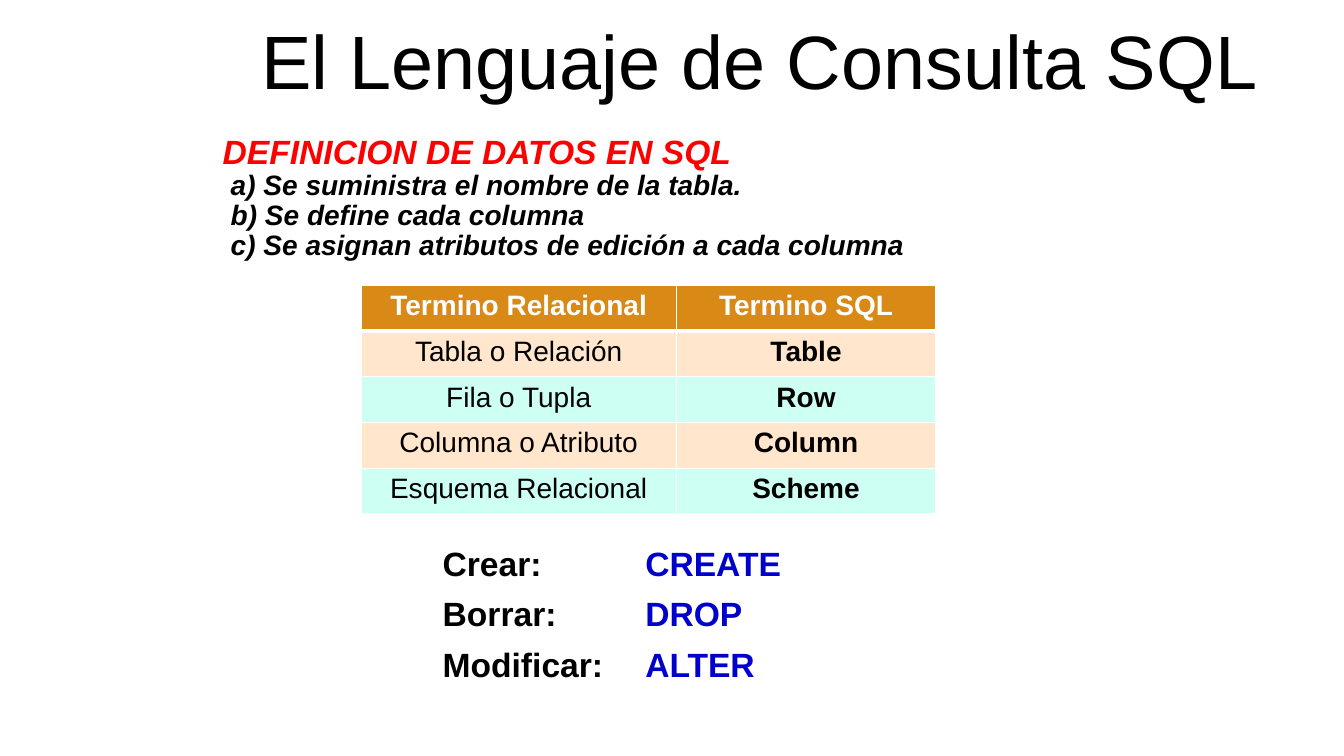
import pptx
import pptx.dml.color
import pptx.enum.text
import pptx.util
from lxml import etree
from pptx.oxml.ns import qn

Inches, Pt = pptx.util.Inches, pptx.util.Pt
RGBColor = pptx.dml.color.RGBColor
PP_ALIGN = pptx.enum.text.PP_ALIGN
MSO_ANCHOR = pptx.enum.text.MSO_ANCHOR

FONT = "Arial"
BLACK = RGBColor(0x00, 0x00, 0x00)
WHITE = RGBColor(0xFF, 0xFF, 0xFF)
RED = RGBColor(0xFF, 0x00, 0x00)
BLUE = RGBColor(0x00, 0x00, 0xCC)
ORANGE = RGBColor(0xD8, 0x89, 0x16)
PEACH = RGBColor(0xFF, 0xE6, 0xCC)
MINT = RGBColor(0xCD, 0xFF, 0xF2)

STEPS = [
    "a) Se suministra el nombre de la tabla.",
    "b) Se define cada columna",
    "c) Se asignan atributos de edición a cada columna",
]
TERMS = [
    ("Termino Relacional", "Termino SQL"),
    ("Tabla o Relación", "Table"),
    ("Fila o Tupla", "Row"),
    ("Columna o Atributo", "Column"),
    ("Esquema Relacional", "Scheme"),
]
COMMANDS = [("Crear:", "CREATE"), ("Borrar:", "DROP"), ("Modificar:", "ALTER")]


def write(p, text, size=20, color=BLACK, bold=False, italic=False,
          align=PP_ALIGN.LEFT, spacing=0.9, indent=0):
    p.alignment = align
    p.line_spacing = spacing
    p.space_before = p.space_after = Pt(0)
    pPr = p._p.get_or_add_pPr()
    pPr.set("marL", str(Inches(indent)))
    pPr.set("indent", "0")
    r = p.add_run()
    r.text = text
    r.font.name = FONT
    r.font.size = Pt(size)
    r.font.bold = bold
    r.font.italic = italic
    r.font.color.rgb = color


def add_title(s, text):
    sp = s.shapes.title
    sp.left, sp.top = Inches(1.99), Inches(0)
    sp.width, sp.height = Inches(11.09), Inches(1.29)
    tf = sp.text_frame
    tf.vertical_anchor = MSO_ANCHOR.MIDDLE
    write(tf.paragraphs[0], text, size=54, align=PP_ALIGN.CENTER)


def add_definition(s, heading, steps):
    sp = s.shapes.add_textbox(Inches(1.99), Inches(1.29), Inches(10.41), Inches(1.37))
    tf = sp.text_frame
    tf.word_wrap = True
    write(tf.paragraphs[0], heading, size=24, color=RED, bold=True, italic=True,
          indent=0.12)
    for step in steps:
        write(tf.add_paragraph(), step, bold=True, italic=True, indent=0.2)


def add_grid(s, rows, left, top, widths, height):
    """Add an unstyled table with equal rows and return it."""
    shape = s.shapes.add_table(len(rows), len(widths), Inches(left), Inches(top),
                               Inches(sum(widths)), Inches(height))
    table = shape.table
    table.first_row = table.horz_banding = False
    for column, width in zip(table.columns, widths):
        column.width = Inches(width)
    for cell in table.iter_cells():
        cell.margin_left = cell.margin_right = Inches(0.1)
        cell.margin_top, cell.margin_bottom = Inches(0.07), Inches(0.05)
    return table


def set_borders(cell, color, **widths):
    tcPr = cell._tc.get_or_add_tcPr()
    for side in "LRTB":
        ln = etree.SubElement(tcPr, qn("a:ln" + side), w=str(Pt(widths.get(side, 1))))
        fill = etree.SubElement(ln, qn("a:solidFill"))
        etree.SubElement(fill, qn("a:srgbClr"), val=str(color))


def add_terms(s):
    table = add_grid(s, TERMS, 3.58, 2.83, (3.13, 2.57), 2.27)
    for i, row in enumerate(TERMS):
        header = i == 0
        fill = ORANGE if header else PEACH if i % 2 else MINT
        for j, text in enumerate(row):
            cell = table.cell(i, j)
            set_borders(cell, WHITE, T=3 if i == 1 else 1, B=3 if header else 1)
            cell.fill.solid()
            cell.fill.fore_color.rgb = fill
            write(cell.text_frame.paragraphs[0], text, bold=header or j == 1,
                  color=WHITE if header else BLACK, align=PP_ALIGN.CENTER,
                  spacing=0.93)


def add_commands(s):
    table = add_grid(s, COMMANDS, 4.29, 5.37, (2.01, 1.92), 1.51)
    for i, row in enumerate(COMMANDS):
        for j, (text, color) in enumerate(zip(row, (BLACK, BLUE))):
            cell = table.cell(i, j)
            cell.fill.background()
            write(cell.text_frame.paragraphs[0], text, size=24, bold=True,
                  color=color, spacing=0.93)


def main():
    prs = pptx.Presentation()
    prs.slide_width, prs.slide_height = Inches(13.33), Inches(7.5)
    s = prs.slides.add_slide(prs.slide_layouts.get_by_name("Title Only"))
    add_title(s, "El Lenguaje de Consulta SQL")
    add_definition(s, "DEFINICION DE DATOS EN SQL", STEPS)
    add_terms(s)
    add_commands(s)
    prs.save("out.pptx")


if __name__ == "__main__":
    main()
